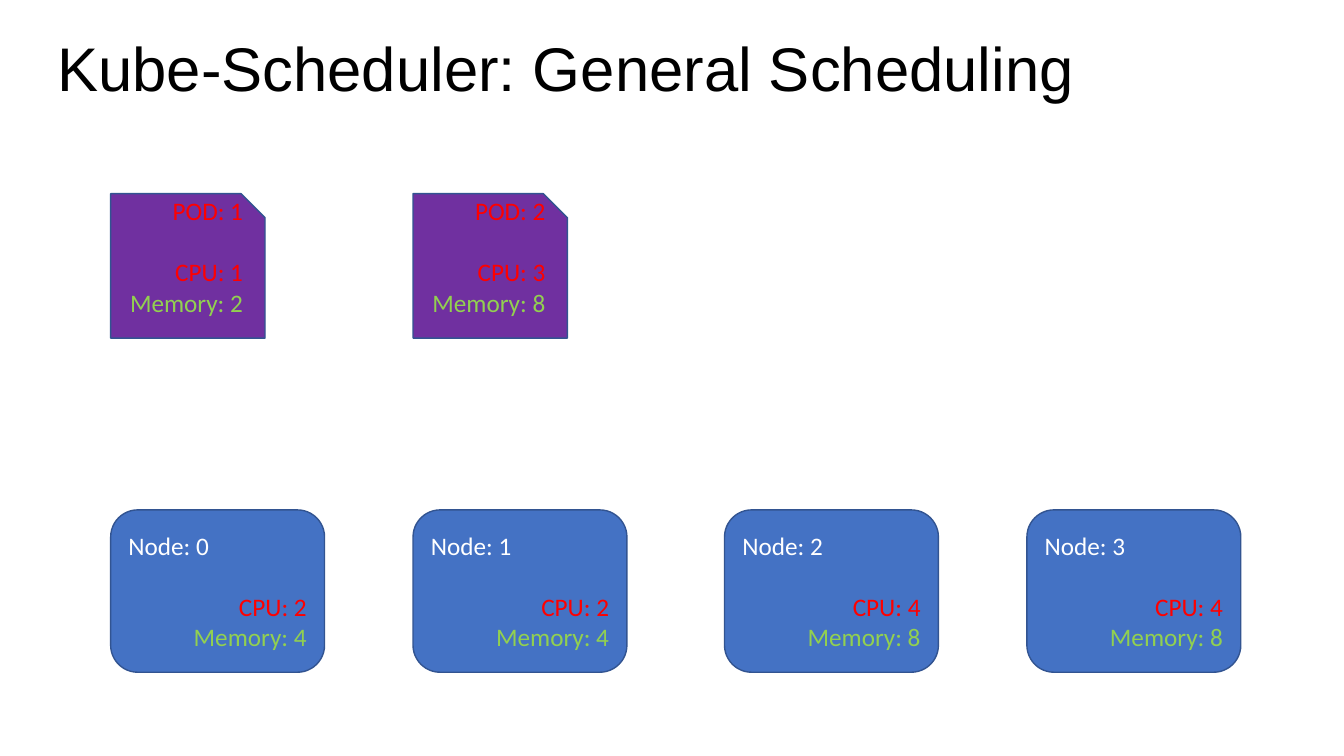
from dataclasses import dataclass

import pptx
import pptx.dml.color
import pptx.enum.shapes
import pptx.enum.text
import pptx.util

Cm = pptx.util.Cm
Pt = pptx.util.Pt
Form = pptx.enum.shapes.MSO_SHAPE
Align = pptx.enum.text.PP_ALIGN

HUES = {
    "black": "000000",
    "white": "FFFFFF",
    "red": "FF0000",
    "green": "92D050",
    "blue": "4472C4",
    "purple": "7030A0",
    "edge": "325491",
}
COLS = (2.79, 10.41, 18.26, 25.88)
GAP = 22


@dataclass(frozen=True)
class Kind:
    label: str
    form: Form
    top: float
    width: float
    height: float
    fill: str
    ink: str
    align: Align
    base: float


@dataclass(frozen=True)
class Item:
    kind: Kind
    col: int
    num: int
    cpu: int
    memory: int


NODE = Kind("Node", Form.ROUNDED_RECTANGLE, 12.85, 5.39, 4.09,
            "blue", "white", Align.LEFT, 0.13)
POD = Kind("POD", Form.SNIP_1_RECTANGLE, 4.88, 3.89, 3.64,
           "purple", "red", Align.RIGHT, 0.9)

ITEMS = (
    Item(NODE, 0, 0, 2, 4),
    Item(NODE, 1, 1, 2, 4),
    Item(NODE, 2, 2, 4, 8),
    Item(NODE, 3, 3, 4, 8),
    Item(POD, 0, 1, 1, 2),
    Item(POD, 1, 2, 3, 8),
)


def tint(name: str) -> pptx.dml.color.RGBColor:
    return pptx.dml.color.RGBColor.from_string(HUES[name])


def write(para, text: str, *, size: float = 18, face: str = "Calibri",
          ink: str = "black", align: Align = Align.RIGHT,
          before: float = 0, lead: float = 1.0) -> None:
    para.alignment = align
    para.space_before = Pt(before)
    para.line_spacing = lead
    run = para.add_run()
    run.text = text
    run.font.size = Pt(size)
    run.font.name = face
    run.font.color.rgb = tint(ink)


def draw(slide, item: Item) -> None:
    kind = item.kind
    shape = slide.shapes.add_shape(
        kind.form, Cm(COLS[item.col]), Cm(kind.top),
        Cm(kind.width), Cm(kind.height))
    shape.shadow.inherit = False
    shape.fill.solid()
    shape.fill.fore_color.rgb = tint(kind.fill)
    shape.line.color.rgb = tint("edge")
    shape.line.width = Pt(1)
    frame = shape.text_frame
    frame.word_wrap = True
    frame.vertical_anchor = pptx.enum.text.MSO_ANCHOR.MIDDLE
    frame.margin_bottom = Cm(kind.base)
    write(frame.paragraphs[0], f"{kind.label}: {item.num}",
          ink=kind.ink, align=kind.align)
    write(frame.add_paragraph(), f"CPU: {item.cpu}", ink="red", before=GAP)
    write(frame.add_paragraph(), f"Memory: {item.memory}", ink="green")


def head(slide, text: str) -> None:
    title = slide.shapes.title
    title.left, title.top = Cm(1.19), Cm(-0.03)
    title.width, title.height = Cm(29.21), Cm(3.68)
    frame = title.text_frame
    frame.word_wrap = True
    frame.auto_size = pptx.enum.text.MSO_AUTO_SIZE.NONE
    frame.vertical_anchor = pptx.enum.text.MSO_ANCHOR.MIDDLE
    write(frame.paragraphs[0], text, size=44, face="Arial",
          align=Align.LEFT, lead=0.9)


def main() -> None:
    deck = pptx.Presentation()
    deck.slide_width, deck.slide_height = Cm(33.87), Cm(19.05)
    slide = deck.slides.add_slide(deck.slide_layouts[5])
    head(slide, "Kube-Scheduler: General Scheduling")
    for item in ITEMS:
        draw(slide, item)
    deck.save("out.pptx")


if __name__ == "__main__":
    main()
